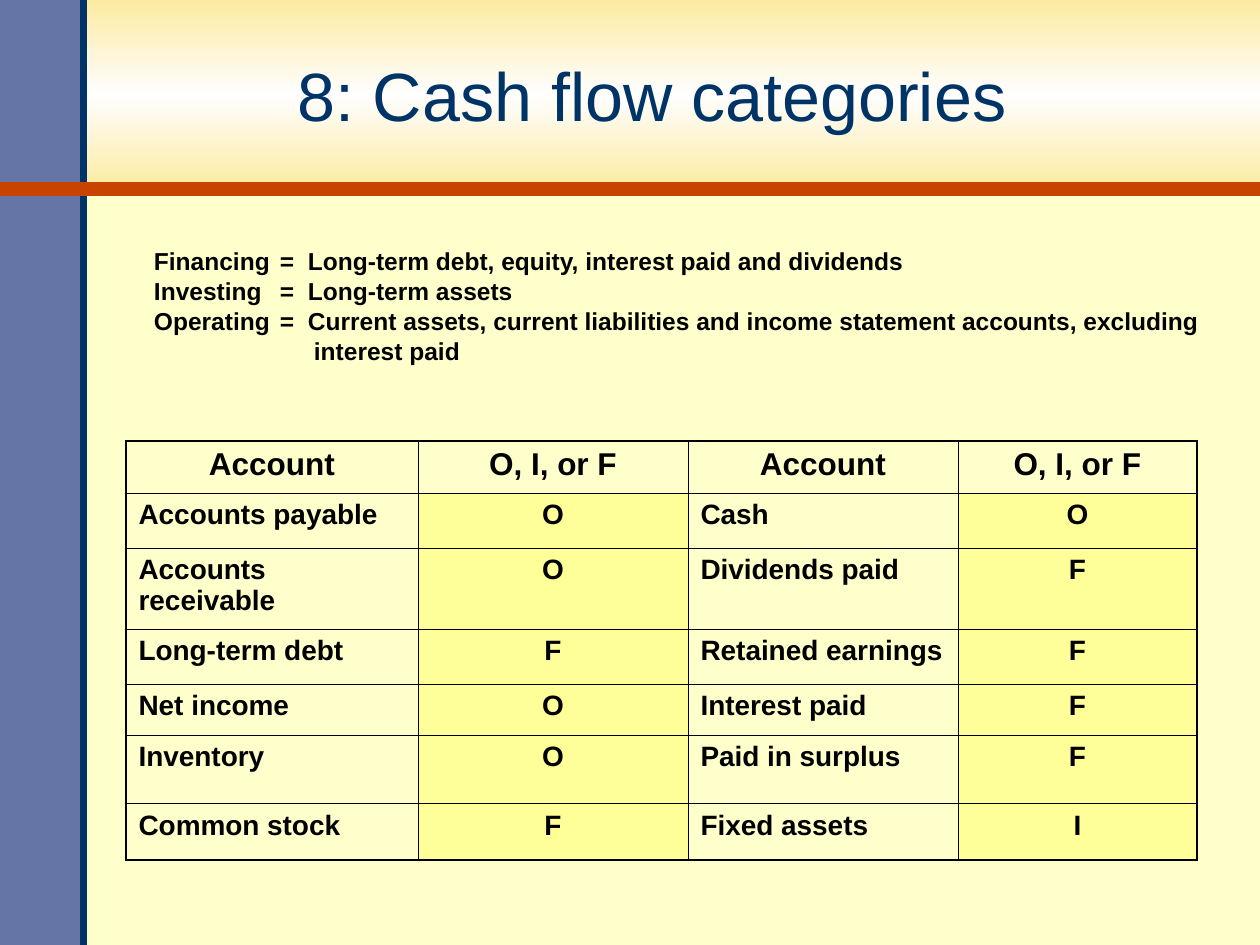
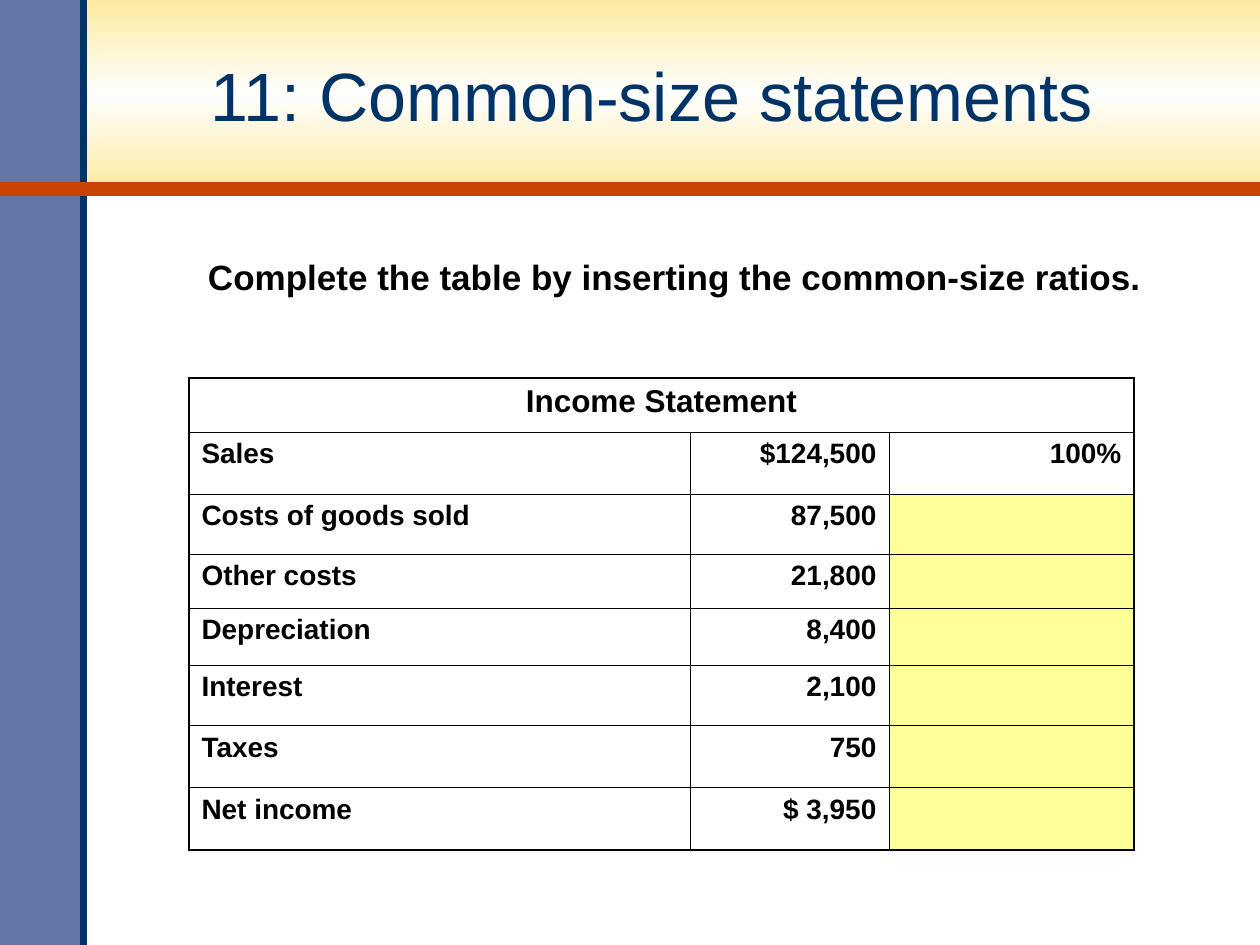
from dataclasses import dataclass
from itertools import accumulate, pairwise

from lxml.etree import SubElement
from pptx import Presentation
from pptx.dml.color import RGBColor
from pptx.enum.shapes import MSO_CONNECTOR, MSO_SHAPE
from pptx.enum.text import MSO_ANCHOR, PP_ALIGN
from pptx.oxml.ns import qn
from pptx.util import Emu, Pt

PX_PER_INCH = 126


def px(length: int) -> Emu:
    return Emu(round(length * 914400 / PX_PER_INCH))


@dataclass(frozen=True)
class Theme:
    font: str = "Arial"
    ink: str = "000000"
    title: str = "003366"
    sidebar: str = "6475A6"
    rule: str = "C84300"
    cream: str = "FFFFCC"
    white: str = "FFFFFF"
    answer: str = "FFFF99"
    band: tuple[str, ...] = ("FDEBA1", "FEFEFE", "FDEBA1")
    title_size: int = 39
    prompt_size: int = 20
    header_size: int = 18
    cell_size: int = 16
    note_size: int = 14
    outer_border: float = 1.08
    inner_border: float = 0.45


THEME = Theme()
WIDTH, HEIGHT = 1260, 945
SIDEBAR_WIDTH, BAND_HEIGHT = 84, 189
LEFT, CENTER, RIGHT = PP_ALIGN.LEFT, PP_ALIGN.CENTER, PP_ALIGN.RIGHT


@dataclass(frozen=True)
class Box:
    left: int
    top: int
    width: int
    height: int

    def emu(self) -> tuple[Emu, ...]:
        return tuple(px(n) for n in (self.left, self.top, self.width, self.height))


@dataclass(frozen=True)
class Rule:
    start: tuple[int, int]
    end: tuple[int, int]
    color: str
    weight: int


@dataclass(frozen=True)
class Grid:
    column_edges: tuple[int, ...]
    row_edges: tuple[int, ...]
    rows: tuple[tuple[str, ...], ...]
    alignments: tuple[PP_ALIGN, ...]
    answer_columns: tuple[int, ...]
    first_answer_row: int


TITLE_BOX = Box(82, 19, 1139, 151)
RULES = (
    Rule((SIDEBAR_WIDTH, HEIGHT), (SIDEBAR_WIDTH, 0), THEME.title, 4),
    Rule((0, BAND_HEIGHT), (WIDTH, BAND_HEIGHT), THEME.rule, 8),
)

CATEGORY_NOTES = (
    "Financing\t=\tLong-term debt, equity, interest paid and dividends",
    "Investing\t=\tLong-term assets",
    "Operating\t=\tCurrent assets, current liabilities and income statement accounts, excluding",
)

CATEGORIES = Grid(
    column_edges=(126, 418, 688, 958, 1197),
    row_edges=(441, 493, 548, 629, 684, 735, 804, 860),
    rows=(
        ("Account", "O, I, or F", "Account", "O, I, or F"),
        ("Accounts payable", "O", "Cash", "O"),
        ("Accounts receivable", "O", "Dividends paid", "F"),
        ("Long-term debt", "F", "Retained earnings", "F"),
        ("Net income", "O", "Interest paid", "F"),
        ("Inventory", "O", "Paid in surplus", "F"),
        ("Common stock", "F", "Fixed assets", "I"),
    ),
    alignments=(LEFT, CENTER, LEFT, CENTER),
    answer_columns=(1, 3),
    first_answer_row=1,
)

INCOME_STATEMENT = Grid(
    column_edges=(189, 690, 889, 1134),
    row_edges=(378, 432, 494, 554, 608, 665, 726, 788, 850),
    rows=(
        ("Income Statement",),
        ("Sales", "$124,500", "100%"),
        ("Costs of goods sold", "87,500", ""),
        ("Other costs", "21,800", ""),
        ("Depreciation", "8,400", ""),
        ("Interest", "2,100", ""),
        ("Taxes", "750", ""),
        ("Net income", "$ 3,950", ""),
    ),
    alignments=(LEFT, RIGHT, RIGHT),
    answer_columns=(2,),
    first_answer_row=2,
)


def write_text(frame, text: str, *, size: int, color: str = THEME.ink,
               bold: bool = True, align: PP_ALIGN = LEFT, line: int = 0,
               indent: int = 0, tabs: tuple[int, ...] = ()) -> None:
    paragraph = frame.paragraphs[0]
    if paragraph.runs:
        paragraph = frame.add_paragraph()
    properties = paragraph._p.get_or_add_pPr()
    if indent:
        properties.set("marL", str(px(indent)))
        properties.set("indent", "0")
    if tabs:
        tab_list = SubElement(properties, qn("a:tabLst"))
        for stop in tabs:
            SubElement(tab_list, qn("a:tab"), pos=str(px(stop)), algn="l")
    paragraph.alignment = align
    if line:
        paragraph.line_spacing = Pt(line)
    run = paragraph.add_run()
    run.text = text
    run.font.name = THEME.font
    run.font.size = Pt(size)
    run.font.bold = bold
    run.font.color.rgb = RGBColor.from_string(color)


def add_text_frame(slide, box: Box, *, left: int = 13, top: int = 6,
                   anchor: MSO_ANCHOR = MSO_ANCHOR.TOP):
    frame = slide.shapes.add_textbox(*box.emu()).text_frame
    frame.word_wrap = True
    frame.vertical_anchor = anchor
    frame.margin_left, frame.margin_top = px(left), px(top)
    return frame


def add_block(slide, box: Box, colors: tuple[str, ...]) -> None:
    shape = slide.shapes.add_shape(MSO_SHAPE.RECTANGLE, *box.emu())
    shape.shadow.inherit = False
    shape.line.fill.background()
    if len(colors) == 1:
        shape.fill.solid()
        shape.fill.fore_color.rgb = RGBColor.from_string(colors[0])
        return
    shape.fill.gradient()
    shape.fill.gradient_angle = 90
    stops = shape._element.spPr.find(qn("a:gradFill")).find(qn("a:gsLst"))
    stops.clear()
    for index, color in enumerate(colors):
        position = 100000 * index // (len(colors) - 1)
        stop = SubElement(stops, qn("a:gs"), pos=str(position))
        SubElement(stop, qn("a:srgbClr"), val=color)


def add_rule(slide, rule: Rule) -> None:
    points = (px(n) for n in rule.start + rule.end)
    connector = slide.shapes.add_connector(MSO_CONNECTOR.STRAIGHT, *points)
    connector.line.color.rgb = RGBColor.from_string(rule.color)
    connector.line.width = Pt(rule.weight)
    SubElement(connector._element.spPr, qn("a:effectLst"))


def add_titled_slide(presentation, title: str, background: str):
    slide = presentation.slides.add_slide(presentation.slide_layouts[6])
    slide.background.fill.solid()
    slide.background.fill.fore_color.rgb = RGBColor.from_string(background)
    add_block(slide, Box(0, 0, WIDTH, BAND_HEIGHT), THEME.band)
    add_block(slide, Box(0, 0, SIDEBAR_WIDTH, HEIGHT), (THEME.sidebar,))
    for rule in RULES:
        add_rule(slide, rule)
    frame = add_text_frame(slide, TITLE_BOX, anchor=MSO_ANCHOR.MIDDLE)
    write_text(frame, title, size=THEME.title_size, color=THEME.title,
               bold=False, align=CENTER)
    return slide


def set_borders(cell, outer_sides: dict[str, bool]) -> None:
    properties = cell._tc.get_or_add_tcPr()
    for side, is_outer in outer_sides.items():
        weight = THEME.outer_border if is_outer else THEME.inner_border
        border = SubElement(properties, qn(f"a:ln{side}"), w=str(Pt(weight)))
        fill = SubElement(border, qn("a:solidFill"))
        SubElement(fill, qn("a:srgbClr"), val=THEME.ink)


def add_grid(slide, grid: Grid) -> None:
    widths = [end - start for start, end in pairwise(grid.column_edges)]
    heights = [end - start for start, end in pairwise(grid.row_edges)]
    box = Box(grid.column_edges[0], grid.row_edges[0], sum(widths), sum(heights))
    table = slide.shapes.add_table(len(heights), len(widths), *box.emu()).table
    table.first_row = table.horz_banding = False
    for column, width in zip(table.columns, widths):
        column.width = px(width)
    for row, height in zip(table.rows, heights):
        row.height = px(height)

    for row_index, texts in enumerate(grid.rows):
        is_header = row_index == 0
        if len(texts) == 1:
            table.cell(row_index, 0).merge(table.cell(row_index, len(widths) - 1))
        for column_index, text in enumerate(texts):
            cell = table.cell(row_index, column_index)
            last_column = len(widths) - 1 if len(texts) == 1 else column_index
            set_borders(cell, {
                "L": column_index == 0,
                "R": last_column == len(widths) - 1,
                "T": is_header,
                "B": row_index == len(heights) - 1,
            })
            if column_index in grid.answer_columns and row_index >= grid.first_answer_row:
                cell.fill.solid()
                cell.fill.fore_color.rgb = RGBColor.from_string(THEME.answer)
            else:
                cell.fill.background()
            if text:
                write_text(cell.text_frame, text,
                           size=THEME.header_size if is_header else THEME.cell_size,
                           align=CENTER if is_header else grid.alignments[column_index])
        for column_index in range(len(texts), len(widths)):
            table.cell(row_index, column_index).fill.background()


def build_categories(presentation) -> None:
    slide = add_titled_slide(presentation, "8: Cash flow categories", THEME.cream)
    frame = add_text_frame(slide, Box(126, 189, 1102, 231), left=28, top=57)
    stops = tuple(accumulate((126, 28)))
    for note in CATEGORY_NOTES:
        write_text(frame, note, size=THEME.note_size, line=17, tabs=stops)
    write_text(frame, "interest paid", size=THEME.note_size, line=17, indent=160)
    add_grid(slide, CATEGORIES)


def build_income_statement(presentation) -> None:
    slide = add_titled_slide(presentation, "11: Common-size statements", THEME.white)
    frame = add_text_frame(slide, Box(116, 189, 1102, 116), left=92, top=67)
    write_text(frame, "Complete the table by inserting the common-size ratios.",
               size=THEME.prompt_size)
    add_grid(slide, INCOME_STATEMENT)


def main() -> None:
    presentation = Presentation()
    presentation.slide_width, presentation.slide_height = px(WIDTH), px(HEIGHT)
    build_categories(presentation)
    build_income_statement(presentation)
    presentation.save("out.pptx")


if __name__ == "__main__":
    main()
